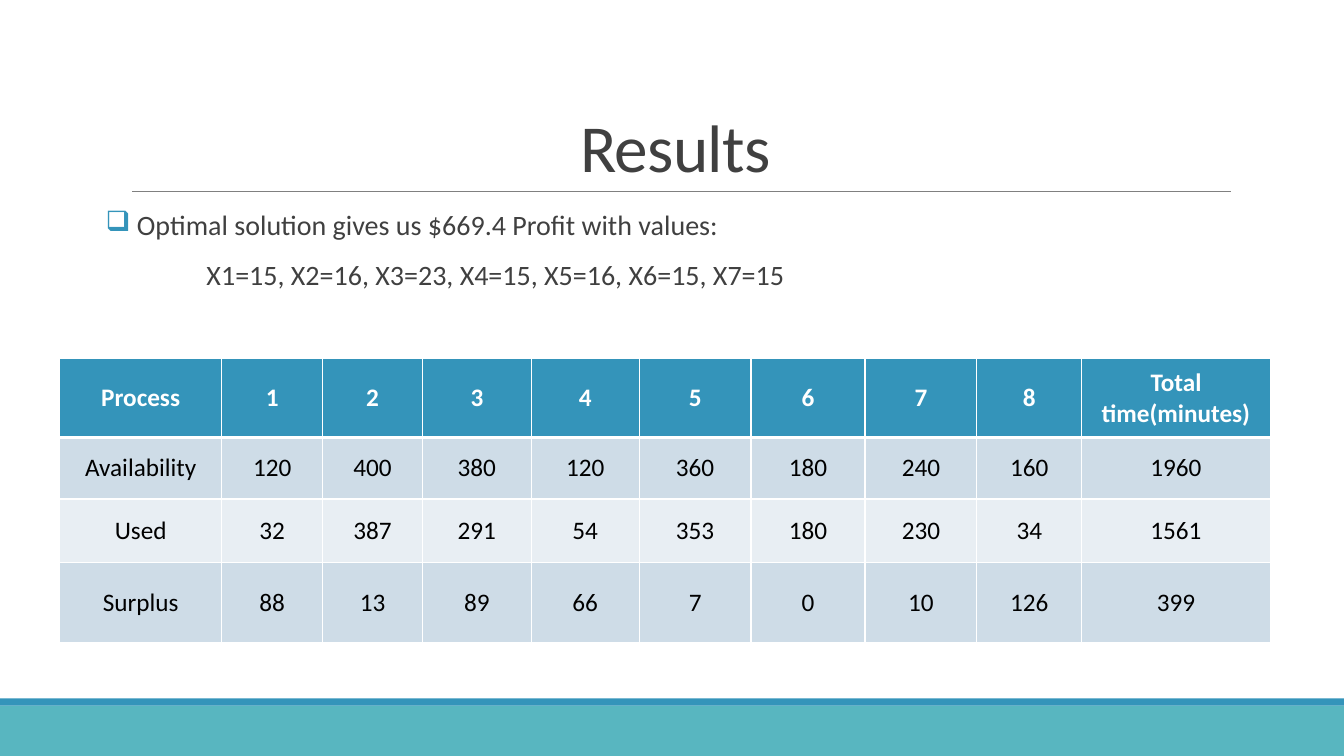
from lxml import etree
from pptx import Presentation
from pptx.dml.color import RGBColor
from pptx.enum.shapes import MSO_CONNECTOR as Connector, MSO_SHAPE as Shape
from pptx.enum.text import MSO_ANCHOR as Anchor, PP_ALIGN as Align
from pptx.oxml.ns import qn
from pptx.util import Inches, Pt

FONT = "Calibri"
TEAL, BLUE, GRAY, DARK = "58B6C0", "3494BA", "808080", "404040"
WHITE, BLACK = "FFFFFF", "000000"
BANDS = ("CEDCE7", "E8EEF3")

COLUMN_WIDTHS = (1.61, 1, 0.99, 1.08, 1.07, 1.11, 1.13, 1.11, 1.04, 1.87)
ROW_HEIGHTS = (0.78, 0.61, 0.63, 0.8)
ROWS = (
    ("Process", 1, 2, 3, 4, 5, 6, 7, 8, "Total time(minutes)"),
    ("Availability", 120, 400, 380, 120, 360, 180, 240, 160, 1960),
    ("Used", 32, 387, 291, 54, 353, 180, 230, 34, 1561),
    ("Surplus", 88, 13, 89, 66, 7, 0, 10, 126, 399),
)


def color(value):
    return RGBColor.from_string(value)


def write(para, text, size=20, fill=DARK, bold=False, align=Align.LEFT,
          line=None, before=None, after=None, tracking=None):
    """Put one formatted run of text into a paragraph."""
    para.alignment = align
    if line is not None:
        para.line_spacing = line
    if before is not None:
        para.space_before = Pt(before)
    if after is not None:
        para.space_after = Pt(after)
    span = para.add_run()
    span.text = text
    span.font.name = FONT
    span.font.size = Pt(size)
    span.font.bold = bold
    span.font.color.rgb = color(fill)
    if tracking is not None:
        span.font._element.set("spc", str(int(tracking * 100)))


def indent(para, left, first=0, bullet=None, bullet_fill=BLUE):
    """Set the left margin, the first-line indent and an optional bullet."""
    props = para._p.get_or_add_pPr()
    props.set("marL", str(Inches(left)))
    props.set("indent", str(Inches(first)))
    if bullet:
        tint = etree.SubElement(props, qn("a:buClr"))
        etree.SubElement(tint, qn("a:srgbClr"), val=bullet_fill)
        etree.SubElement(props, qn("a:buChar"), char=bullet)


def add_band(page, top, height, fill):
    band = page.shapes.add_shape(Shape.RECTANGLE, 0, Inches(top),
                                 Inches(13.33), Inches(height))
    band.shadow.inherit = False
    band.fill.solid()
    band.fill.fore_color.rgb = color(fill)
    band.line.fill.background()


def add_rule(page, left, right, y):
    rule = page.shapes.add_connector(Connector.STRAIGHT, Inches(left), Inches(y),
                                     Inches(right), Inches(y))
    rule.line.color.rgb = color(GRAY)
    rule.line.width = Pt(0.5)
    etree.SubElement(rule._element.spPr, qn("a:effectLst"))


def add_text_box(page, left, top, width, height, anchor=Anchor.TOP):
    box = page.shapes.add_textbox(Inches(left), Inches(top),
                                  Inches(width), Inches(height))
    frame = box.text_frame
    frame.word_wrap = True
    frame.vertical_anchor = anchor
    return frame


def set_borders(cell, **widths):
    """Draw white cell borders; widths are given per side in points."""
    props = cell._tc.get_or_add_tcPr()
    for side in ("L", "R", "T", "B"):
        edge = etree.SubElement(props, qn("a:ln" + side),
                                w=str(Pt(widths.get(side, 1))))
        paint = etree.SubElement(edge, qn("a:solidFill"))
        etree.SubElement(paint, qn("a:srgbClr"), val=WHITE)


def add_process_table(page, left, top):
    table = page.shapes.add_table(
        len(ROWS), len(COLUMN_WIDTHS), Inches(left), Inches(top),
        Inches(sum(COLUMN_WIDTHS)), Inches(sum(ROW_HEIGHTS))).table
    for column, width in zip(table.columns, COLUMN_WIDTHS):
        column.width = Inches(width)
    for r, (height, values) in enumerate(zip(ROW_HEIGHTS, ROWS)):
        table.rows[r].height = Inches(height)
        header = r == 0
        for c, value in enumerate(values):
            cell = table.cell(r, c)
            # The line under the header row is thicker
            set_borders(cell, B=3 if header else 1, T=3 if r == 1 else 1)
            cell.fill.solid()
            cell.fill.fore_color.rgb = color(BLUE if header else BANDS[(r - 1) % 2])
            cell.vertical_anchor = Anchor.MIDDLE
            write(cell.text_frame.paragraphs[0], str(value), size=18, bold=header,
                  fill=WHITE if header else BLACK, align=Align.CENTER)


def main():
    deck = Presentation()
    deck.slide_width, deck.slide_height = Inches(13.33), Inches(7.5)
    page = deck.slides.add_slide(deck.slide_layouts[6])

    # Footer bands and title rule
    add_band(page, 7, 0.5, TEAL)
    add_band(page, 6.93, 0.07, BLUE)
    add_rule(page, 1.31, 12.21, 1.9)

    # Title
    title = add_text_box(page, 1.2, 0.31, 11, 1.59, Anchor.BOTTOM)
    write(title.paragraphs[0], "Results", size=48, align=Align.CENTER,
          line=0.85, tracking=-0.5)

    # Optimal solution
    body = add_text_box(page, 0.95, 2.05, 11.5, 5.3)
    spacing = dict(line=0.9, before=12, after=2)
    finding = body.paragraphs[0]
    write(finding, " Optimal solution gives us $669.4 Profit with values:", **spacing)
    indent(finding, 0.1, -0.1, bullet="❑")
    values = body.add_paragraph()
    write(values, "X1=15, X2=16, X3=23, X4=15, X5=16, X6=15, X7=15", **spacing)
    indent(values, 1)

    # Minutes per process
    add_process_table(page, 0.59, 3.56)

    deck.save("out.pptx")


if __name__ == "__main__":
    main()
